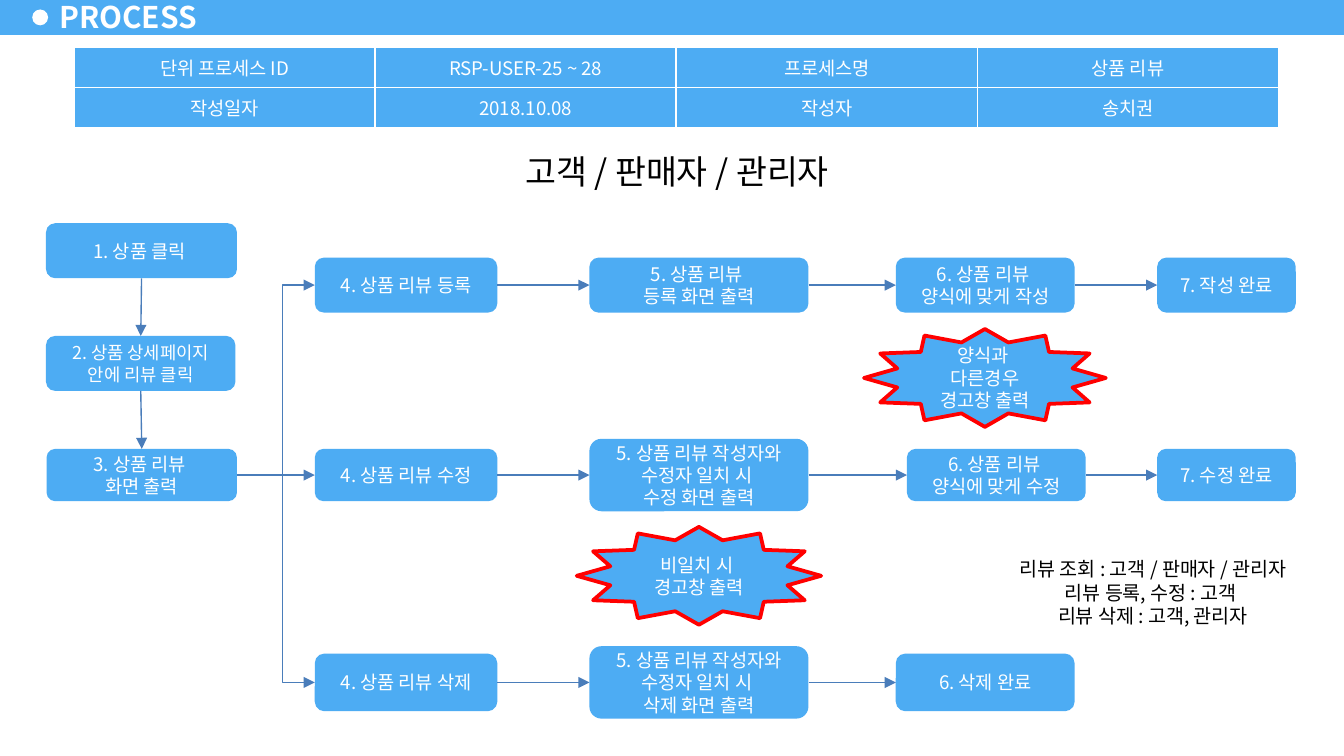
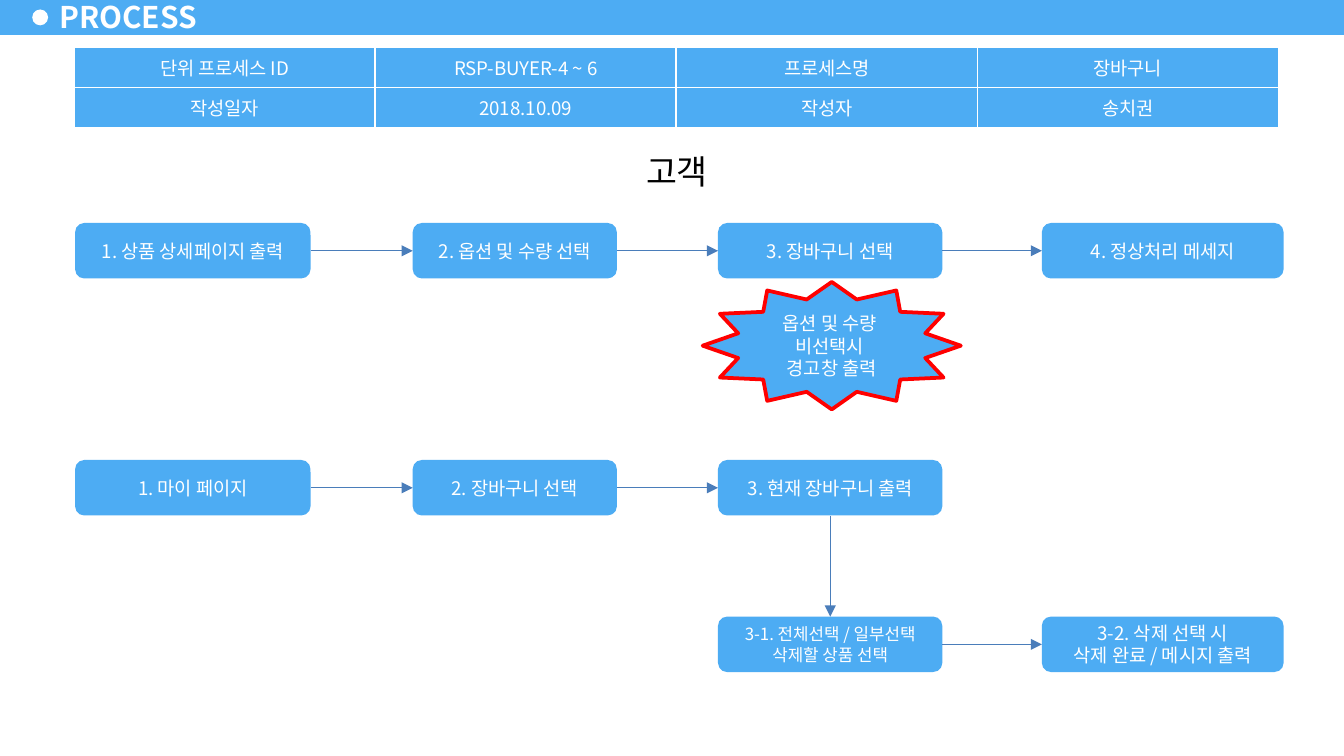
from itertools import pairwise

from lxml import etree
from pptx import Presentation
from pptx import util as u
from pptx.dml.color import RGBColor
from pptx.enum import shapes as kinds, text as txt
from pptx.oxml.ns import qn

FONT = "Noto Sans CJK KR"
COLORS = {
    "sky": "4DACF3",
    "white": "FFFFFF",
    "black": "000000",
    "alert": "FF0000",
    "arrow": "4A7DBA",
}
TOP, LEFT, BOTTOM, RIGHT = range(4)  # connection sites of a step box


def color(key):
    return RGBColor.from_string(COLORS[key])


# ---------- text and shapes ----------
def write(frame, content, size, ink="white", align=txt.PP_ALIGN.CENTER, bold=False):
    """Fill a text frame; \\n starts a paragraph, \\v breaks a line."""
    frame.text = content
    for paragraph in frame.paragraphs:
        paragraph.alignment = align
        for run in paragraph.runs:
            run.font.size = u.Pt(size)
            run.font.bold = bold
            run.font.name = FONT
            run.font.color.rgb = color(ink)
            east_asian = etree.SubElement(run.font._element, qn("a:ea"))
            east_asian.set("typeface", FONT)


def add_block(slide, preset, place, fill, outline=None):
    block = slide.shapes.add_shape(preset, *(u.Cm(v) for v in place))
    block.shadow.inherit = False
    block.fill.solid()
    block.fill.fore_color.rgb = color(fill)
    if outline:
        block.line.color.rgb = color(outline)
        block.line.width = u.Pt(2)
    else:
        block.line.fill.background()
    return block


def add_step(slide, left, center, width, height, content, size=10):
    place = (left, center - height / 2, width, height)
    step = add_block(slide, kinds.MSO_SHAPE.ROUNDED_RECTANGLE, place, "sky")
    write(step.text_frame, content, size)
    return step


def add_warning(slide, place, content):
    star = add_block(slide, kinds.MSO_SHAPE.STAR_12_POINT, place, "sky", "alert")
    write(star.text_frame, content, 10)


def add_note(slide, place, content, size):
    note = add_block(slide, kinds.MSO_SHAPE.RECTANGLE, place, "white")
    note.text_frame.vertical_anchor = txt.MSO_ANCHOR.TOP
    write(note.text_frame, content, size, "black")


# ---------- arrows ----------
def add_arrow(slide, start, end, bend=None):
    """Arrow between two points; bend is the elbow's share of the width."""
    kind = kinds.MSO_CONNECTOR.STRAIGHT if bend is None else kinds.MSO_CONNECTOR.ELBOW
    arrow = slide.shapes.add_connector(kind, *start, *end)
    arrow.line.color.rgb = color("arrow")
    arrow.line.width = u.Pt(0.75)
    properties = arrow.element.spPr
    etree.SubElement(properties.find(qn("a:ln")), qn("a:tailEnd")).set("type", "triangle")
    etree.SubElement(properties, qn("a:effectLst"))
    if bend is not None:
        adjusts = properties.find(qn("a:prstGeom")).get_or_add_avLst()
        guide = etree.SubElement(adjusts, qn("a:gd"))
        guide.set("name", "adj1")
        guide.set("fmla", f"val {round(bend * 100000)}")
    return arrow


def link(slide, source, target, sites=(RIGHT, LEFT)):
    arrow = add_arrow(slide, (0, 0), (0, 0))
    arrow.begin_connect(source, sites[0])
    arrow.end_connect(target, sites[1])


def add_flow(slide, center, steps):
    """Row of steps on one centre line, joined from left to right."""
    row = [add_step(slide, left, center, *rest) for left, *rest in steps]
    for source, target in pairwise(row):
        link(slide, source, target)
    return row


def right_middle(step):
    return step.left + step.width, step.top + step.height // 2


def left_middle(step):
    return step.left, step.top + step.height // 2


# ---------- shared page parts ----------
def prepare_layout(deck, slide):
    """Put the header band, its dot and the title place on the layout."""
    layout = slide.slide_layout
    band = add_block(slide, kinds.MSO_SHAPE.RECTANGLE, (0, -0.05, 25.4, 0.71), "sky")
    dot = add_block(slide, kinds.MSO_SHAPE.OVAL, (0.61, 0.18, 0.3, 0.3), "white")
    for part in (band, dot):
        layout.shapes.element.append(part.element)
    title = layout.placeholders[0]
    title.left, title.top = u.Cm(0.89), u.Cm(-0.1)
    title.width, title.height = u.Cm(3.1), u.Cm(0.81)


def add_title(slide):
    frame = slide.shapes.title.text_frame
    frame.auto_size = txt.MSO_AUTO_SIZE.NONE
    frame.vertical_anchor = txt.MSO_ANCHOR.MIDDLE
    frame.margin_left = frame.margin_right = u.Cm(0.23)
    frame.margin_top = frame.margin_bottom = u.Cm(0.1)
    write(frame, "PROCESS", 16, align=txt.PP_ALIGN.LEFT, bold=True)


def add_borders(cell):
    properties = cell._tc.get_or_add_tcPr()
    for index, side in enumerate(("lnL", "lnR", "lnT", "lnB")):
        border = etree.Element(qn(f"a:{side}"), w=str(u.Pt(1)))
        fill = etree.SubElement(border, qn("a:solidFill"))
        etree.SubElement(fill, qn("a:srgbClr")).set("val", COLORS["white"])
        properties.insert(index, border)


def add_summary(slide, process_id, name, date):
    rows = (
        ("단위 프로세스 ID", process_id, "프로세스명", name),
        ("작성일자", date, "작성자", "송치권"),
    )
    summary = slide.shapes.add_table(
        2, 4, u.Cm(1.4), u.Cm(0.89), u.Cm(22.76), u.Cm(1.42)
    ).table
    summary.first_row = summary.horz_banding = False
    for row, values in zip(summary.rows, rows):
        for cell, value in zip(row.cells, values):
            cell.fill.solid()
            cell.fill.fore_color.rgb = color("sky")
            cell.vertical_anchor = txt.MSO_ANCHOR.MIDDLE
            write(cell.text_frame, value, 10)
            add_borders(cell)


def add_header(slide, actors, process_id, name, date):
    add_title(slide)
    add_summary(slide, process_id, name, date)
    add_note(slide, (8.26, 2.72, 9.07, 1.03), actors, 18)


# ---------- slides ----------
def build_review(slide):
    add_header(slide, "고객 / 판매자 / 관리자", "RSP-USER-25 ~ 28", "상품 리뷰", "2018.10.08")

    # Way to the review screen
    click = add_step(slide, 0.87, 4.74, 3.61, 1.04, "1. 상품 클릭 ")
    detail = add_step(slide, 0.87, 6.87, 3.58, 1.04, "2. 상품 상세페이지\n안에 리뷰 클릭", 9.5)
    review = add_step(slide, 0.88, 8.98, 3.6, 0.99, "3. 상품 리뷰 \n화면 출력")
    for source, target in pairwise((click, detail, review)):
        link(slide, source, target, (BOTTOM, TOP))

    # Register, edit and delete
    first, second, third, last = (5.95, 3.45), (11.14, 4.14), (16.93, 3.38), (21.87, 2.62)
    same_author = "5. 상품 리뷰 작성자와\v수정자 일치 시 \n{} 화면 출력"
    register = add_flow(slide, 5.39, (
        (*first, 1.04, "4. 상품 리뷰 등록"),
        (*second, 1.04, "5. 상품 리뷰 \v등록 화면 출력"),
        (*third, 1.04, "6. 상품 리뷰 \v양식에 맞게 작성"),
        (*last, 1.04, "7. 작성 완료"),
    ))
    edit = add_flow(slide, 8.98, (
        (*first, 0.99, "4. 상품 리뷰 수정"),
        (*second, 1.37, same_author.format("수정")),
        (17.14, 3.38, 0.99, "6. 상품 리뷰 \v양식에 맞게 수정"),
        (*last, 0.99, "7. 수정 완료"),
    ))
    delete = add_flow(slide, 12.9, (
        (*first, 1.09, "4. 상품 리뷰 삭제"),
        (*second, 1.37, same_author.format("삭제")),
        (*third, 1.09, "6. 삭제 완료"),
    ))

    # Branches from the review screen
    start = right_middle(review)
    fork = u.Cm(5.34), start[1]
    to_register = left_middle(register[0])
    bend = (fork[0] - start[0]) / (to_register[0] - start[0])
    add_arrow(slide, start, to_register, bend)
    add_arrow(slide, fork, left_middle(delete[0]), 0)
    add_arrow(slide, fork, left_middle(edit[0]))

    # Warnings and permissions
    add_warning(slide, (16.33, 6.22, 4.57, 1.85), "양식과 \n다른경우\v경고창 출력")
    add_warning(slide, (10.9, 9.96, 4.62, 1.85), "비일치 시 \v경고창 출력")
    permissions = (
        "리뷰 조회 : 고객 / 판매자 / 관리자",
        "리뷰 등록, 수정 : 고객 ",
        "리뷰 삭제 : 고객, 관리자",
    )
    add_note(slide, (18.64, 10.41, 6.3, 1.6), "\v".join(permissions), 10.5)


def build_cart(slide):
    add_header(slide, "고객", "RSP-BUYER-4 ~ 6", "장바구니", "2018.10.09")
    columns = ((1.42, 4.45), (7.8, 3.86), (13.57, 4.24), (19.69, 4.57))
    height = 1.05

    def flow(center, labels, first=0):
        places = zip(columns[first:], labels)
        return add_flow(slide, center, [(*column, height, *label) for column, label in places])

    # Put into the cart
    flow(4.74, (
        ("1. 상품 상세페이지 출력",),
        ("2. 옵션 및 수량 선택",),
        ("3. 장바구니 선택",),
        ("4. 정상처리 메세지",),
    ))
    add_warning(slide, (13.28, 5.33, 4.88, 2.41), "옵션 및 수량 \n비선택시 \n경고창 출력")

    # Look into the cart and delete
    view = flow(9.22, (
        ("1. 마이 페이지",),
        ("2. 장바구니 선택",),
        ("3. 현재 장바구니 출력",),
    ))
    removal = flow(12.18, (
        ("3-1. 전체선택 / 일부선택\v삭제할 상품 선택", 9),
        ("3-2. 삭제 선택 시\v삭제 완료 / 메시지 출력",),
    ), first=2)
    link(slide, view[-1], removal[0], (BOTTOM, TOP))


def main():
    deck = Presentation()
    deck.slide_width, deck.slide_height = u.Cm(25.4), u.Cm(14.29)
    title_only = deck.slide_layouts[5]
    review, cart = (deck.slides.add_slide(title_only) for _ in range(2))
    prepare_layout(deck, review)
    build_review(review)
    build_cart(cart)
    deck.save("out.pptx")


main()
